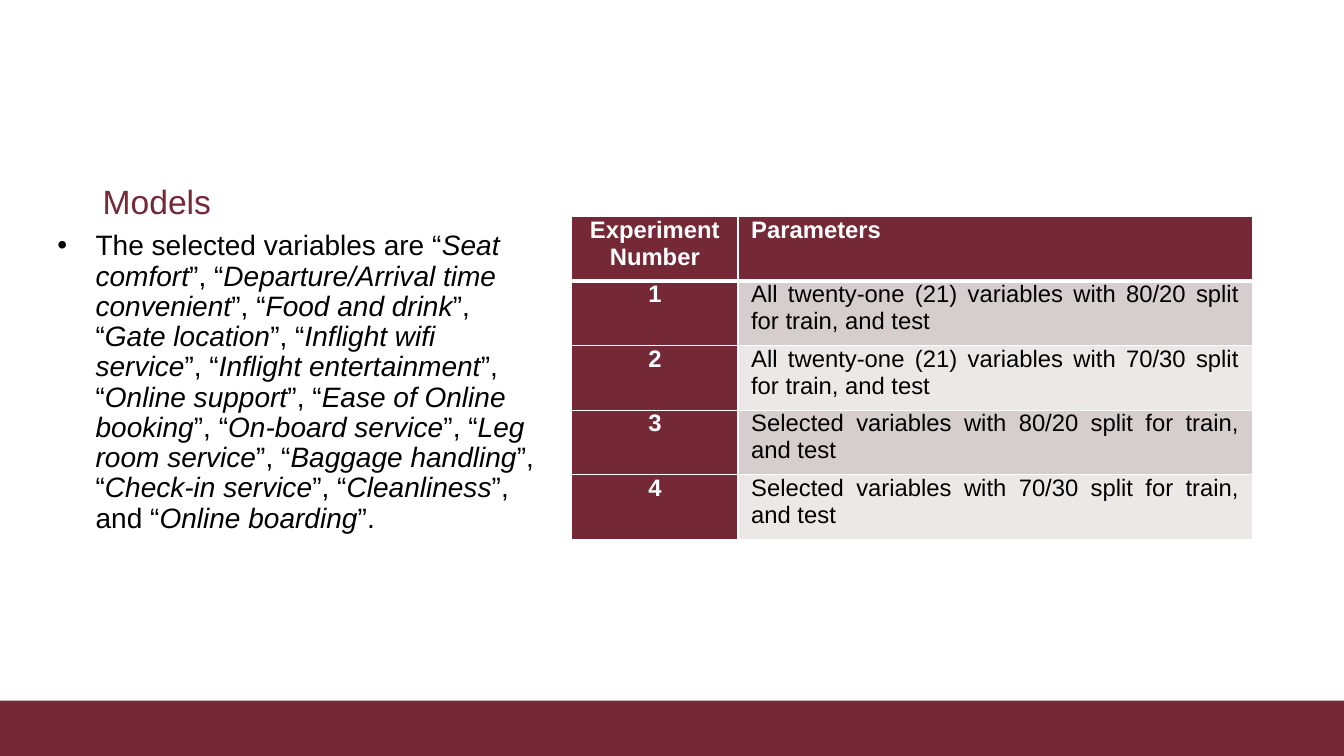
import pptx
import pptx.util
import pptx.dml.color
import pptx.enum.shapes
import pptx.enum.text
import pptx.oxml.ns
import lxml.etree

Inches = pptx.util.Inches
Pt = pptx.util.Pt
RGBColor = pptx.dml.color.RGBColor
Align = pptx.enum.text.PP_ALIGN
qn = pptx.oxml.ns.qn

MAROON = RGBColor(0x75, 0x28, 0x36)
WHITE = RGBColor(0xFF, 0xFF, 0xFF)
BLACK = RGBColor(0, 0, 0)
DARK_BAND = RGBColor(0xD6, 0xCD, 0xCE)
LIGHT_BAND = RGBColor(0xEC, 0xE8, 0xE8)


def style(span, size, color, bold=False, italic=False):
    span.font.name = "Arial"
    span.font.size = Pt(size)
    span.font.color.rgb = color
    span.font.bold = bold
    span.font.italic = italic


def add_border(cell, side, width):
    line = lxml.etree.SubElement(cell._tc.get_or_add_tcPr(), qn("a:" + side), w=str(Pt(width)))
    fill = lxml.etree.SubElement(line, qn("a:solidFill"))
    lxml.etree.SubElement(fill, qn("a:srgbClr"), val=str(WHITE))


deck = pptx.Presentation()
deck.slide_width = Inches(13.33)
deck.slide_height = Inches(7.5)
page = deck.slides.add_slide(deck.slide_layouts[6])

footer = page.shapes.add_shape(
    pptx.enum.shapes.MSO_SHAPE.RECTANGLE, 0, Inches(6.95), Inches(13.33), Inches(0.55))
footer.shadow.inherit = False
footer.fill.solid()
footer.fill.fore_color.rgb = MAROON
footer.line.fill.background()

title = page.shapes.add_textbox(Inches(0.92), Inches(0.5), Inches(4.3), Inches(1.75))
title.text_frame.word_wrap = True
title.text_frame.vertical_anchor = pptx.enum.text.MSO_ANCHOR.BOTTOM
title.text_frame.text = "Models"
para = title.text_frame.paragraphs[0]
para.line_spacing = 0.9
style(para.runs[0], 24, MAROON)

variables = [
    "Seat comfort", "Departure/Arrival time convenient", "Food and drink", "Gate location",
    "Inflight wifi service", "Inflight entertainment", "Online support",
    "Ease of Online booking", "On-board service", "Leg room service", "Baggage handling",
    "Check-in service", "Cleanliness", "Online boarding",
]
joiners = ["The selected variables are “"] + ["”, “"] * (len(variables) - 2) + ["”, and “"]

body = page.shapes.add_textbox(Inches(0.47), Inches(2.25), Inches(4.98), Inches(4.17))
body.text_frame.word_wrap = True
para = body.text_frame.paragraphs[0]
para.line_spacing = 0.9
para.space_before = Pt(7.5)
properties = para._p.get_or_add_pPr()
properties.set("marL", str(Inches(0.38)))
properties.set("indent", str(Inches(-0.38)))
lxml.etree.SubElement(properties, qn("a:buFont"), typeface="Arial")
lxml.etree.SubElement(properties, qn("a:buChar"), char="•")
pieces = []
for joiner, variable in zip(joiners, variables):
    pieces += [(joiner, False), (variable, True)]
pieces.append(("”.", False))
for text, italic in pieces:
    span = para.add_run()
    span.text = text
    style(span, 20, BLACK, italic=italic)

rows = [
    ("Experiment Number", "Parameters"),
    ("1", "All twenty-one (21) variables with 80/20 split for train, and test"),
    ("2", "All twenty-one (21) variables with 70/30 split for train, and test"),
    ("3", "Selected variables with 80/20 split for train, and test"),
    ("4", "Selected variables with 70/30 split for train, and test"),
]
table = page.shapes.add_table(
    len(rows), 2, Inches(5.67), Inches(2.15), Inches(6.75), Inches(3.2)).table
table.columns[0].width = Inches(1.65)
table.columns[1].width = Inches(5.1)
for row_index, row in enumerate(rows):
    table.rows[row_index].height = Inches(0.64)
    for column_index, text in enumerate(row):
        cell = table.cell(row_index, column_index)
        heading = row_index == 0 or column_index == 0
        cell.margin_left = cell.margin_right = Inches(0.13)
        cell.margin_top = cell.margin_bottom = 0
        add_border(cell, "lnL", 1)
        add_border(cell, "lnR", 1)
        add_border(cell, "lnT", 3 if row_index == 1 else 1)
        add_border(cell, "lnB", 3 if row_index == 0 else 1)
        cell.fill.solid()
        band = DARK_BAND if row_index % 2 else LIGHT_BAND
        cell.fill.fore_color.rgb = MAROON if heading else band
        cell.text_frame.text = text
        para = cell.text_frame.paragraphs[0]
        para.alignment = Align.JUSTIFY if column_index else Align.CENTER
        style(para.runs[0], 17, WHITE if heading else BLACK, bold=heading)

deck.save("out.pptx")
